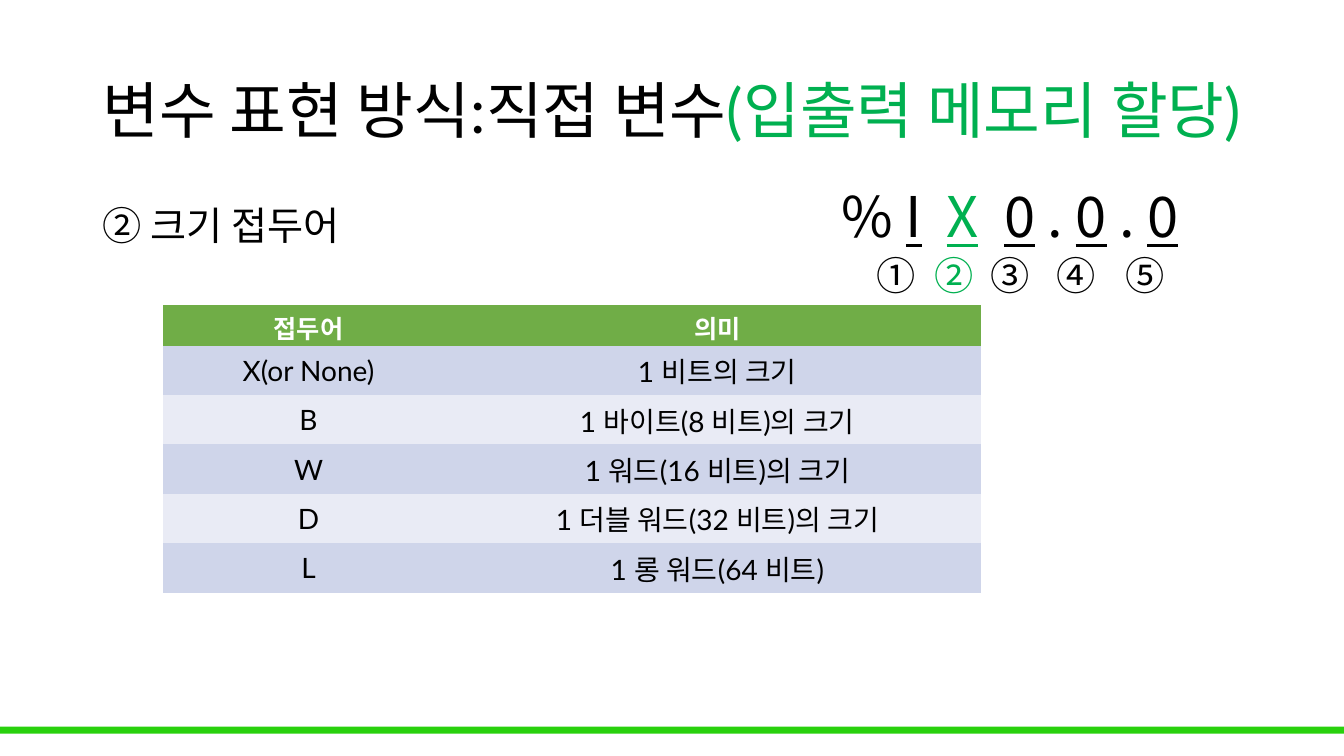
from lxml.etree import SubElement
from pptx import Presentation
from pptx.dml.color import RGBColor
from pptx.enum.shapes import MSO_SHAPE
from pptx.enum.text import MSO_ANCHOR, PP_ALIGN
from pptx.oxml.ns import qn
from pptx.util import Inches, Pt

LATO, NOTO = "Lato", "Noto Sans CJK KR"
BLACK, GREEN, WHITE = "000000", "00B050", "FFFFFF"


def paint(target, color):
    if hasattr(target, "solid"):
        target.solid()
        target = target.fore_color
    target.rgb = RGBColor.from_string(color)


def write(para, text, size, color=BLACK, face=LATO, bold=False, under=False):
    run = para.add_run()
    run.text = text
    font = run.font
    font.size, font.bold, font.underline = Pt(size), bold, under
    paint(font.color, color)
    font.name = face
    SubElement(run._r.rPr, qn("a:ea"), typeface=NOTO)


deck = Presentation()
deck.slide_width, deck.slide_height = Inches(13.33), Inches(7.5)
slide = deck.slides.add_slide(deck.slide_layouts[6])
shapes = slide.shapes

bar = shapes.add_shape(MSO_SHAPE.RECTANGLE, 0, Inches(7.21), deck.slide_width, Inches(0.07))
bar.shadow.inherit = False
paint(bar.fill, "29D10D")
bar.line.fill.background()

frames = []
for left, top, width, height, anchor in [
    (0.92, 0.4, 11.5, 1.45, MSO_ANCHOR.MIDDLE),
    (0.92, 2, 11.5, 0.7, MSO_ANCHOR.TOP),
    (8.25, 1.75, 4.17, 1.28, MSO_ANCHOR.TOP),
]:
    box = shapes.add_textbox(Inches(left), Inches(top), Inches(width), Inches(height))
    frame = box.text_frame
    frame.word_wrap, frame.vertical_anchor = True, anchor
    frames.append(frame)
title, body, code = frames

para = title.paragraphs[0]
para.line_spacing = 0.9
write(para, "변수 표현 방식:직접 변수", 44)
write(para, "(입출력 메모리 할당)", 44, GREEN)

para = body.paragraphs[0]
para.line_spacing = 0.9
write(para, "② 크기 접두어", 28)

top, low = code.paragraphs[0], code.add_paragraph()
for para, stops in [(top, (1.04, 1.61)), (low, (0.35, 0.92, 1.48, 2.13, 2.81))]:
    tabs = SubElement(para._p.get_or_add_pPr(), qn("a:tabLst"))
    for stop in stops:
        SubElement(tabs, qn("a:tab"), pos=str(Inches(stop)), algn="l")

for text in ["% ", "I", "\t", "X", "\t", "0", " . ", "0", " . ", "0"]:
    write(top, text, 40, GREEN if text == "X" else BLACK, NOTO, under=text in "IX0")
for mark in "①②③④⑤":
    write(low, "\t", 30, face=NOTO)
    write(low, mark, 28, GREEN if mark == "②" else BLACK, NOTO)

rows = [
    ("접두어", "의미"),
    ("X(or None)", "1 비트의 크기"),
    ("B", "1 바이트(8 비트)의 크기"),
    ("W", "1 워드(16 비트)의 크기"),
    ("D", "1 더블 워드(32 비트)의 크기"),
    ("L", "1 롱 워드(64 비트)"),
]
table = shapes.add_table(
    len(rows), 2, Inches(1.62), Inches(3.03), Inches(8.11), Inches(2.85)
).table
table._tbl.tblPr[0].text = "{2D5ABB26-0587-4C30-8999-92F81FD0307C}"
for col, width in zip(table.columns, (2.88, 5.23)):
    col.width = Inches(width)
for i, texts in enumerate(rows):
    head = i == 0
    table.rows[i].height = Inches(0.4 if head else 0.49)
    fill = "70AD47" if head else ("E9EBF5", "CFD5EA")[i % 2]
    for j, text in enumerate(texts):
        cell = table.cell(i, j)
        cell.vertical_anchor = MSO_ANCHOR.MIDDLE
        cell.margin_top = Inches(0.03)
        cell.margin_bottom = Inches(0 if head else 0.03)
        paint(cell.fill, fill)
        para = cell.text_frame.paragraphs[0]
        para.alignment = PP_ALIGN.CENTER
        write(para, text, 18 if head else 20, WHITE if head else BLACK, bold=head)

deck.save("out.pptx")
